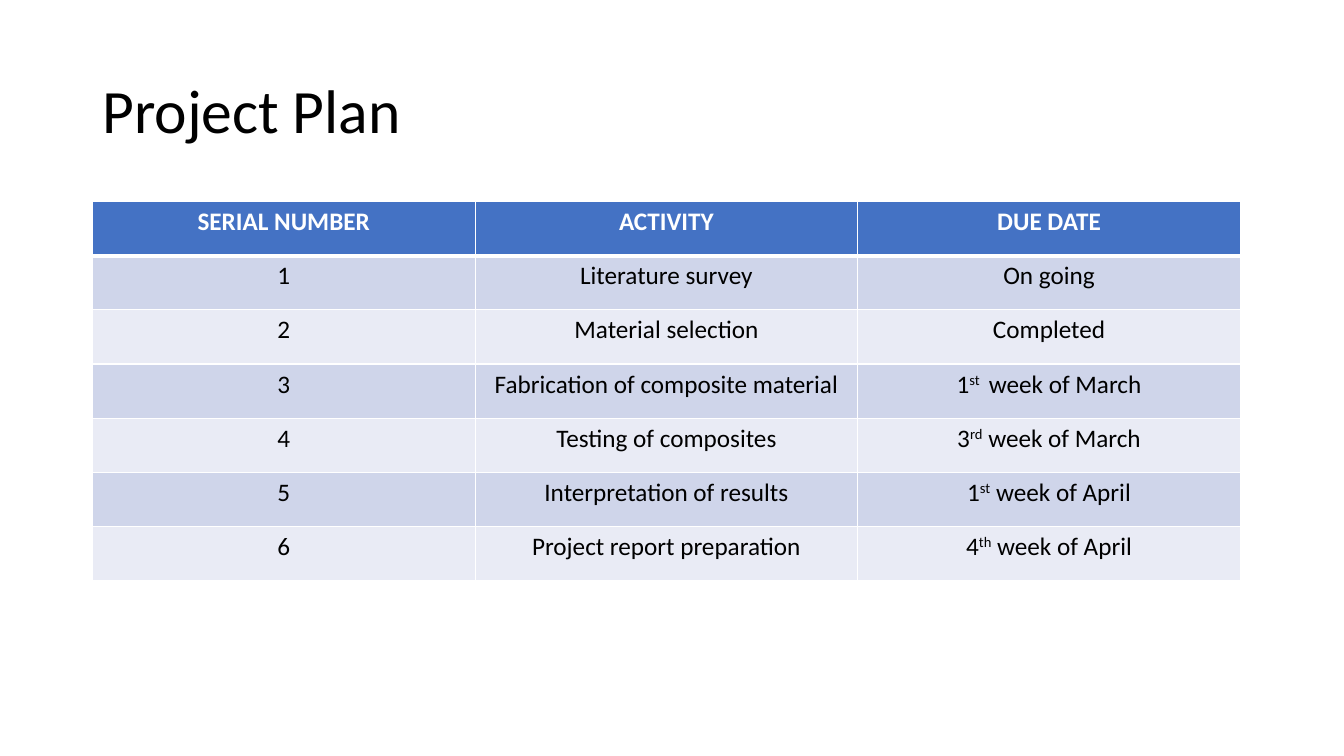
from lxml.etree import SubElement
from pptx import Presentation
from pptx.dml.color import RGBColor
from pptx.enum.text import MSO_ANCHOR, PP_ALIGN
from pptx.oxml.ns import qn
from pptx.util import Cm, Pt

COLOURS = {
    "black": "000000",
    "white": "FFFFFF",
    "header": "4472C4",
    "odd": "CFD5EA",
    "even": "E9EBF5",
}
TITLE_FORMAT = {"name": "Calibri", "size": Pt(44), "bold": False}
HEADER_FORMAT = {"name": "Calibri", "size": Pt(18), "bold": True}
BODY_FORMAT = {"name": "Calibri", "size": Pt(18), "bold": False}

HEADINGS = ["SERIAL NUMBER", "ACTIVITY", "DUE DATE"]
ACTIVITIES = [
    ("Literature survey", ["On going"]),
    ("Material selection", ["Completed"]),
    ("Fabrication of composite material", ["1", "st ", " week of March"]),
    ("Testing of composites", ["3", "rd", " week of March"]),
    ("Interpretation of results", ["1", "st", " week of April"]),
    ("Project report preparation", ["4", "th", " week of April"]),
]


def colour(name):
    return RGBColor.from_string(COLOURS[name])


def add_span(para, text, font_format, colour_name):
    span = para.add_run()
    span.text = text
    for attribute, value in font_format.items():
        setattr(span.font, attribute, value)
    span.font.color.rgb = colour(colour_name)
    return span


def add_title(page, text):
    box = page.shapes.add_textbox(Cm(2.33), Cm(1.01), Cm(29.21), Cm(3.68))
    frame = box.text_frame
    frame.word_wrap = True
    frame.vertical_anchor = MSO_ANCHOR.MIDDLE
    para = frame.paragraphs[0]
    para.line_spacing = 0.9
    add_span(para, text, TITLE_FORMAT, "black")


def set_borders(cell, widths):
    properties = cell._tc.get_or_add_tcPr()
    for side, width in widths.items():
        line = SubElement(properties, qn(f"a:ln{side}"), w=str(Pt(width)))
        fill = SubElement(line, qn("a:solidFill"))
        SubElement(fill, qn("a:srgbClr"), val=COLOURS["white"])


def fill_cell(cell, parts, font_format, text_colour, fill_colour, widths):
    set_borders(cell, widths)
    cell.fill.solid()
    cell.fill.fore_color.rgb = colour(fill_colour)
    para = cell.text_frame.paragraphs[0]
    para.alignment = PP_ALIGN.CENTER
    for index, part in enumerate(parts):
        span = add_span(para, part, font_format, text_colour)
        if index == 1:
            span._r.get_or_add_rPr().set("baseline", "30000")


def add_plan(page):
    rows = [[[heading] for heading in HEADINGS]]
    for number, (activity, due) in enumerate(ACTIVITIES, 1):
        rows.append([[str(number)], [activity], due])
    table = page.shapes.add_table(
        len(rows), len(HEADINGS), Cm(2.33), Cm(5.08), Cm(28.93), Cm(9.55)
    ).table
    for row, contents in enumerate(rows):
        if row == 0:
            style = (HEADER_FORMAT, "white", "header")
        else:
            style = (BODY_FORMAT, "black", "odd" if row % 2 else "even")
        widths = {"L": 1, "R": 1, "T": 3 if row == 1 else 1, "B": 3 if row == 0 else 1}
        for column, parts in enumerate(contents):
            fill_cell(table.cell(row, column), parts, *style, widths)


def main():
    deck = Presentation()
    deck.slide_width, deck.slide_height = Cm(33.87), Cm(19.05)
    page = deck.slides.add_slide(deck.slide_layouts[6])
    add_title(page, "Project Plan")
    add_plan(page)
    deck.save("out.pptx")


if __name__ == "__main__":
    main()
